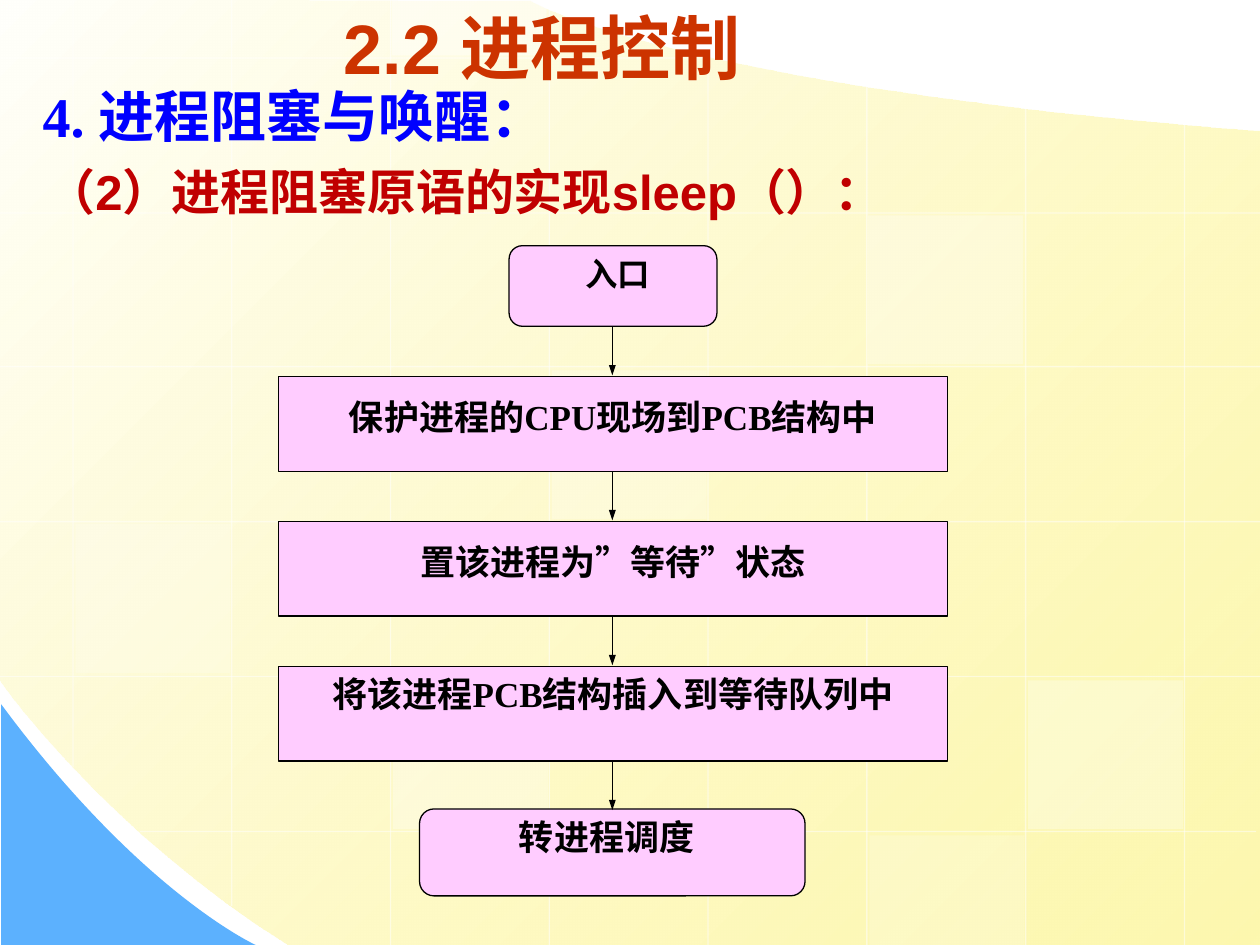
"""Build the slide on process blocking with the sleep flow chart."""
from pptx import Presentation
from pptx.dml.color import RGBColor
from pptx.enum.dml import MSO_LINE
from pptx.enum.shapes import MSO_CONNECTOR, MSO_SHAPE
from pptx.enum.text import MSO_ANCHOR, MSO_AUTO_SIZE, PP_ALIGN
from pptx.oxml.ns import qn
from pptx.util import Inches, Pt
from lxml.etree import SubElement

WHITE = RGBColor(0xFF, 0xFF, 0xFF)
BLACK = RGBColor(0x00, 0x00, 0x00)
IVORY = RGBColor(0xFF, 0xFF, 0xFB)
YELLOW = RGBColor(0xFD, 0xF5, 0x8D)
SKY = RGBColor(0x5C, 0xB1, 0xFE)
BLUE = RGBColor(0x00, 0x00, 0xFF)
RED = RGBColor(0xC0, 0x00, 0x00)
ORANGE = RGBColor(0xCC, 0x33, 0x00)
PINK = RGBColor(0xFF, 0xCC, 0xFF)
SERIF, SANS = "Times New Roman", "Arial"

deck = Presentation()
deck.slide_width, deck.slide_height = Inches(10), Inches(7.5)
slide = deck.slides.add_slide(deck.slide_layouts[6])
shapes = slide.shapes


def draw_line(x1, y1, x2, y2, color):
    line = shapes.add_connector(
        MSO_CONNECTOR.STRAIGHT, Inches(x1), Inches(y1), Inches(x2), Inches(y2))
    line.line.width = Pt(0.75)
    line.line.color.rgb = color
    line.line.dash_style = MSO_LINE.SOLID
    SubElement(line.element.spPr, qn("a:effectLst"))
    return line


def write(shape, runs, size, color, align=PP_ALIGN.LEFT, space=1.0):
    frame = shape.text_frame
    frame.word_wrap = True
    frame.vertical_anchor = MSO_ANCHOR.TOP
    par = frame.paragraphs[0]
    par.alignment = align
    par.line_spacing = space
    par.font.size = Pt(size)
    par.font.bold = True
    par.font.color.rgb = color
    for text, face in runs:
        run = par.add_run()
        run.text = text
        run.font.name = face
    return frame


outlines = [
    ("CCCLLC", [(10, 1.04), (10, 4.27), (10, 7.5), (10, 7.5),
                (10, 7.5), (6.15, 7.5), (2.3, 7.5),
                (0.86, 6.61), (-0.01, 5.39), (0, 5.39),
                (-0.01, -0.01), (4.21, 0.01),
                (4.21, 0.01), (5.37, 0.69), (10, 1.04)]),
    ("CLC", [(0.01, 5.59), (0.01, 6.55), (0.01, 7.5), (0.01, 7.5),
             (2.03, 7.5), (2.03, 7.5), (1.12, 7.09), (0.01, 5.59)]),
]
areas = []
for kinds, points in outlines:
    points = [(Inches(x), Inches(y)) for x, y in points]
    maker = shapes.build_freeform(*points[0])
    maker.add_line_segments(points[1:])
    area = maker.convert_to_shape()
    area.shadow.inherit = False
    area.line.fill.background()
    legs = iter(area.element.spPr.findall(".//" + qn("a:lnTo")))
    for kind in kinds:
        leg = next(legs)
        if kind == "C":
            leg.tag = qn("a:cubicBezTo")
            for part in (next(legs), next(legs)):
                leg.append(part[0])
                part.getparent().remove(part)
    areas.append(area)

field, corner = areas
field.fill.gradient()
field.fill.gradient_angle = 315
for stop, color, place in zip(field.fill.gradient_stops, (IVORY, YELLOW), (0, 1)):
    stop.color.rgb = color
    stop.position = place
clear = field.element.spPr.findall(".//" + qn("a:srgbClr"))[-1]
SubElement(clear, qn("a:alpha"), val="70000")
corner.fill.solid()
corner.fill.fore_color.rgb = SKY

tops = [0, 0, 0, 0, 0.43, 0.68, 0.85, 0.98]
ends = [6.09, 7.19, 7.5] + [7.52] * 5
grid = [(0.58 + 1.26 * i, top, 0.58 + 1.26 * i, end)
        for i, (top, end) in enumerate(zip(tops, ends))]
rows = [0.46, 1.69, 2.91, 4.14, 5.37, 6.6]
spans = [(5.68, 0)] + [(10.01, 0)] * 4 + [(9.97, 1.11)]
grid += [(right, y, left, y) for y, (right, left) in zip(rows, spans)]
for place in grid:
    line = draw_line(*place, WHITE)
    SubElement(line.element.spPr.find(".//" + qn("a:srgbClr")), qn("a:alpha"), val="50000")

tiles = [(4.38, 2.94, 1.18, 25), (8.16, 5.4, 1.18, 30), (0.6, 4.16, 1.18, 20),
         (6.9, 6.63, 0.87, 20), (3.11, 0, 0.44, 40), (3.12, 5.4, 1.18, 30),
         (6.89, 1.71, 1.18, 30)]
for x, y, high, alpha in tiles:
    tile = shapes.add_shape(
        MSO_SHAPE.RECTANGLE, Inches(x), Inches(y), Inches(1.23), Inches(high))
    tile.shadow.inherit = False
    tile.line.fill.background()
    tile.fill.solid()
    tile.fill.fore_color.rgb = WHITE
    SubElement(tile.element.spPr.find(".//" + qn("a:srgbClr")),
               qn("a:alpha"), val=str(alpha * 1000))

heads = [
    (0.24, 0.6, 5.2, 0.63, "4. 进程阻塞与唤醒：", SERIF, 32, BLUE),
    (0.27, 1.23, 7.72, 0.71, "（2）进程阻塞原语的实现sleep（）：", SANS, 28, RED),
    (2.63, -0.03, 5.05, 0.8, "2.2 进程控制", SANS, 40, ORANGE),
]
for x, y, w, h, text, face, size, color in heads:
    box = shapes.add_textbox(Inches(x), Inches(y), Inches(w), Inches(h))
    frame = write(box, [(text, face)], size, color)
    frame.auto_size = MSO_AUTO_SIZE.NONE
frame.vertical_anchor = MSO_ANCHOR.MIDDLE

ROUND, RECT = MSO_SHAPE.ROUNDED_RECTANGLE, MSO_SHAPE.RECTANGLE
save = [("保护进程的CPU现场到PCB", SERIF), ("结构中", SANS)]
wait = [("置该进程为”等待”状态", SERIF)]
queue = [("将该进程PCB", SERIF), ("结构插入到等待", SANS), ("队列中", SERIF)]
nodes = [(ROUND, 4.04, 1.95, 1.65, 0.64, [], 20, 1),
         (RECT, 4.16, 2, 1.48, 0.42, [("入口", SERIF)], 18.5, 0.9),
         (RECT, 2.21, 2.99, 5.31, 0.75, save, 20, 1.3),
         (RECT, 2.21, 4.14, 5.31, 0.75, wait, 20, 1.3),
         (RECT, 2.21, 5.29, 5.31, 0.75, queue, 20, 1),
         (ROUND, 3.33, 6.42, 3.06, 0.69, [], 20, 1)]
for kind, x, y, w, h, runs, size, space in nodes:
    node = shapes.add_shape(kind, Inches(x), Inches(y), Inches(w), Inches(h))
    node.shadow.inherit = False
    node.fill.solid()
    node.fill.fore_color.rgb = PINK
    if size == 20:
        node.line.color.rgb = BLACK
        node.line.width = Pt(0.75)
    else:
        node.line.fill.background()
    if runs:
        write(node, runs, size, BLACK, PP_ALIGN.CENTER, space)

label = shapes.add_textbox(Inches(3.33), Inches(6.42), Inches(2.97), Inches(0.87))
write(label, [("转进程调度", SERIF)], 20, BLACK, PP_ALIGN.CENTER)

for i in range(4):
    y = 2.59 + 1.15 * i
    arrow = draw_line(4.86, y, 4.86, y + 0.39, BLACK)
    SubElement(arrow.element.spPr.find(qn("a:ln")), qn("a:tailEnd"),
               type="triangle", w="sm", len="med")

deck.save("out.pptx")
